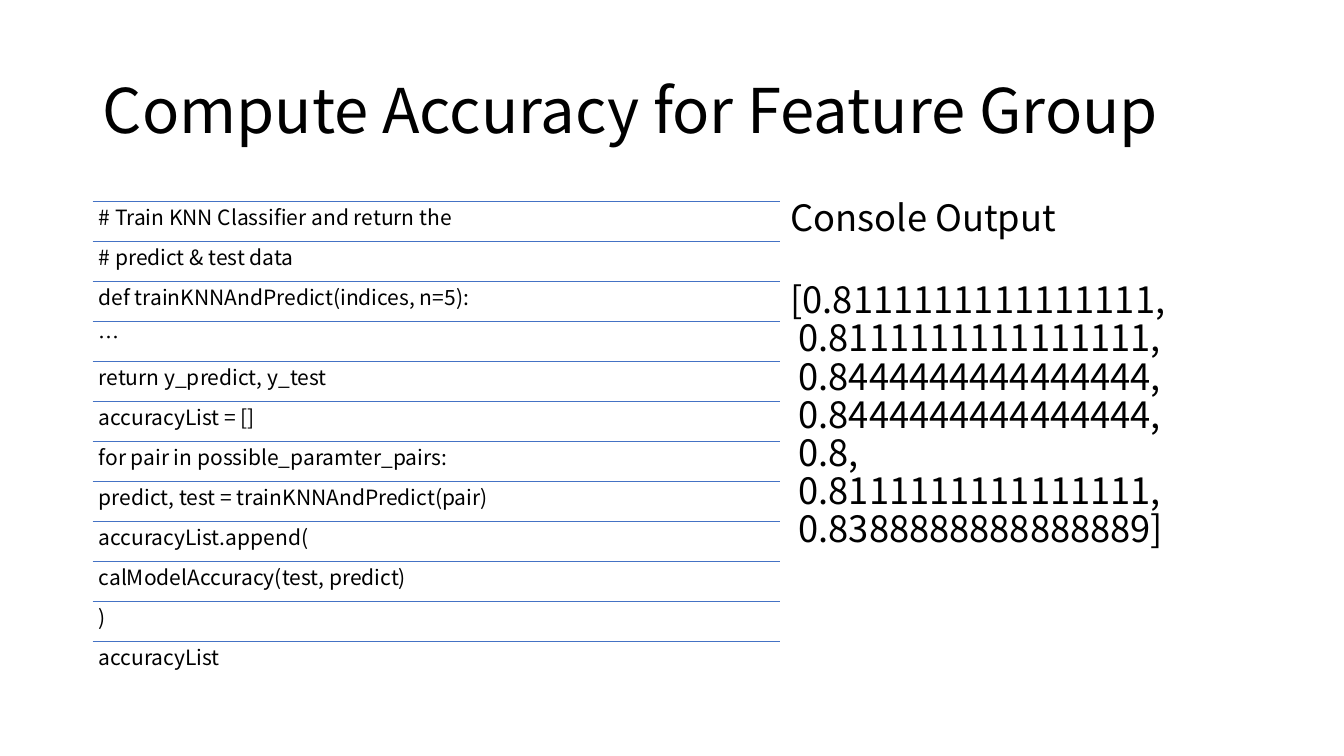
"""Build the slide on computing accuracy for a feature group."""
from lxml.etree import SubElement
from pptx import Presentation
from pptx.dml.color import RGBColor
from pptx.enum.shapes import MSO_CONNECTOR as Connector
from pptx.enum.text import MSO_ANCHOR as Anchor, MSO_AUTO_SIZE as AutoSize, PP_ALIGN as Align
from pptx.oxml.ns import qn
from pptx.util import Inches, Pt

TITLE = "Compute Accuracy for Feature Group"
CODE_LINES = [
    "# Train KNN Classifier and return the",
    "# predict & test data",
    "def trainKNNAndPredict(indices, n=5):",
    "…",
    "return y_predict, y_test",
    "accuracyList = []",
    "for pair in possible_paramter_pairs:",
    "predict, test = trainKNNAndPredict(pair)",
    "accuracyList.append(",
    "calModelAccuracy(test, predict)",
    ")",
    "accuracyList",
]
OUTPUT_HEADING = "Console Output"
OUTPUT_LINES = [
    "[0.8111111111111111,",
    "0.8111111111111111,",
    "0.8444444444444444,",
    "0.8444444444444444,",
    "0.8,",
    "0.8111111111111111,",
    "0.8388888888888889]",
]
COLORS = {"text": "000000", "rule": "4472C4"}
FONT = "Noto Sans CJK SC"
LEFT, TOP, CODE_WIDTH, HEIGHT = 0.92, 2, 6.83, 4.76
OUTPUT_LEFT, OUTPUT_WIDTH = 7.74, 4.67
ROW_HEIGHT = HEIGHT / len(CODE_LINES)
OUTPUT_GAP, OUTPUT_PITCH, OUTPUT_INDENT = 5.5, 31.8, 0.08
FRAME_FORMAT = {"word_wrap": True, "auto_size": AutoSize.NONE}
CODE_FORMAT = FRAME_FORMAT | {
    f"margin_{side}": Inches(0.06) for side in ("left", "top", "right", "bottom")
}


def apply_format(target, values):
    for name, value in values.items():
        setattr(target, name, value)


def place(shape, left, top, width, height):
    box = {"left": left, "top": top, "width": width, "height": height}
    apply_format(shape, {name: Inches(value) for name, value in box.items()})


def write(paragraph, text, size, **paragraph_format):
    apply_format(paragraph, {"alignment": Align.LEFT} | paragraph_format)
    run = paragraph.add_run()
    run.text = text
    apply_format(run.font, {"name": FONT, "size": Pt(size), "bold": False})
    run.font.color.rgb = RGBColor.from_string(COLORS["text"])
    SubElement(run.font._element, qn("a:ea"), typeface=FONT)


def add_rule(slide, top):
    rule = slide.shapes.add_connector(
        Connector.STRAIGHT, Inches(LEFT), Inches(top), Inches(OUTPUT_LEFT), Inches(top)
    )
    rule.line.color.rgb = RGBColor.from_string(COLORS["rule"])
    rule.line.width = Pt(1)
    SubElement(rule._element.spPr, qn("a:effectLst"))


def add_code(slide):
    for index, line in enumerate(CODE_LINES):
        top = TOP + index * ROW_HEIGHT
        add_rule(slide, top)
        box = slide.shapes.add_textbox(0, 0, 0, 0)
        place(box, LEFT, top, CODE_WIDTH, ROW_HEIGHT)
        apply_format(box.text_frame, CODE_FORMAT)
        write(box.text_frame.paragraphs[0], line, 15, line_spacing=0.9)


def add_output(body):
    place(body, OUTPUT_LEFT, TOP, OUTPUT_WIDTH, HEIGHT)
    apply_format(body.text_frame, FRAME_FORMAT | {"vertical_anchor": Anchor.TOP})
    for index, line in enumerate([OUTPUT_HEADING] + OUTPUT_LINES):
        frame = body.text_frame
        paragraph = frame.add_paragraph() if index else frame.paragraphs[0]
        gap = OUTPUT_GAP + (OUTPUT_PITCH if index == 1 else 0)
        write(paragraph, line, 25.9, line_spacing=0.7, space_before=Pt(gap))
        properties = paragraph._p.get_or_add_pPr()
        properties.set("marL", str(Inches(OUTPUT_INDENT if index > 1 else 0)))
        properties.set("indent", "0")
        SubElement(properties, qn("a:buNone"))


def main():
    presentation = Presentation()
    presentation.slide_width = Inches(13.33)
    presentation.slide_height = Inches(7.5)
    slide = presentation.slides.add_slide(presentation.slide_layouts[1])
    title, body = slide.placeholders
    place(title, LEFT, 0.4, 11.5, 1.45)
    apply_format(title.text_frame, FRAME_FORMAT | {"vertical_anchor": Anchor.MIDDLE})
    write(title.text_frame.paragraphs[0], TITLE, 44, line_spacing=0.9)
    add_code(slide)
    add_output(body)
    presentation.save("out.pptx")


if __name__ == "__main__":
    main()
